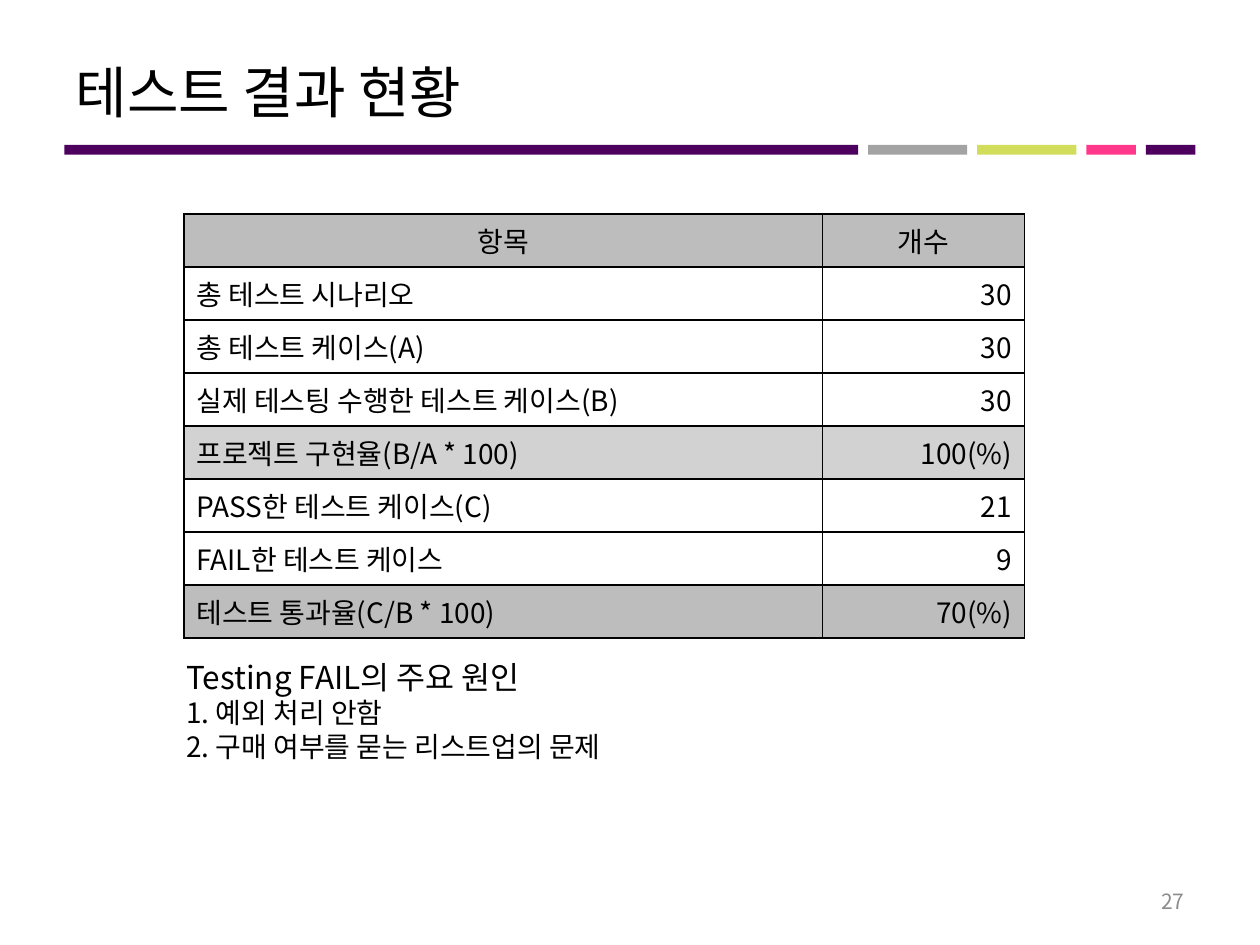
"""Build the test result summary slide."""
from lxml import etree
from pptx import Presentation, util as u
from pptx.dml.color import RGBColor
from pptx.enum import shapes, text
from pptx.oxml.ns import qn

FACE = "Noto Sans CJK KR"
BLACK = RGBColor(0x00, 0x00, 0x00)
PURPLE = RGBColor(0x4E, 0x00, 0x5F)
GRAY = RGBColor(0xA3, 0xA3, 0xA3)
LIME = RGBColor(0xD1, 0xDD, 0x5B)
PINK = RGBColor(0xFF, 0x38, 0x8C)
DARK = RGBColor(0xBD, 0xBD, 0xBD)
LIGHT = RGBColor(0xD2, 0xD2, 0xD2)
FAINT = RGBColor(0x8C, 0x8C, 0x8C)
LEFT, MID, RIGHT = text.PP_ALIGN.LEFT, text.PP_ALIGN.CENTER, text.PP_ALIGN.RIGHT


def style(para, size, align=LEFT, color=BLACK):
    """Set the look of one paragraph."""
    para.alignment = align
    para.font.size = u.Pt(size)
    para.font.color.rgb = color
    para.font.name = FACE
    props = para._p.pPr.find(qn("a:defRPr"))
    etree.SubElement(props, qn("a:ea"), typeface=FACE)


def frame(cell):
    """Draw a thin black line on each side of a cell."""
    props = cell._tc.get_or_add_tcPr()
    for i, side in enumerate(("lnL", "lnR", "lnT", "lnB")):
        line = etree.Element(qn("a:" + side), w=str(u.Pt(1)))
        fill = etree.SubElement(line, qn("a:solidFill"))
        etree.SubElement(fill, qn("a:srgbClr"), val=str(BLACK))
        props.insert(i, line)


deck = Presentation()
deck.slide_width, deck.slide_height = u.Inches(10), u.Inches(7.5)
wide, high = deck.slide_width, deck.slide_height
slide = deck.slides.add_slide(deck.slide_layouts[1])
title, body = slide.placeholders

unit = u.Mm(2)
left = u.Mm(13)
for span, color in ((80, PURPLE), (10, GRAY), (10, LIME), (5, PINK), (5, PURPLE)):
    bar = slide.shapes.add_shape(
        shapes.MSO_SHAPE.RECTANGLE, left, u.Inches(1.15), span * unit, unit)
    bar.shadow.inherit = False
    bar.fill.solid()
    bar.fill.fore_color.rgb = color
    bar.line.fill.background()
    left += (span + 1) * unit

title.left, title.top = int(wide * 0.05), int(high * 0.04)
title.width, title.height = int(wide * 0.9), u.Inches(0.85)
title.text_frame.text = "테스트 결과 현황"
title.text_frame.auto_size = text.MSO_AUTO_SIZE.NONE
title.text_frame.vertical_anchor = text.MSO_ANCHOR.MIDDLE
style(title.text_frame.paragraphs[0], 32)

rows = (
    ("항목", "개수", DARK),
    ("총 테스트 시나리오", "30", None),
    ("총 테스트 케이스(A)", "30", None),
    ("실제 테스팅 수행한 테스트 케이스(B)", "30", None),
    ("프로젝트 구현율(B/A * 100)", "100(%)", LIGHT),
    ("PASS한 테스트 케이스(C)", "21", None),
    ("FAIL한 테스트 케이스", "9", None),
    ("테스트 통과율(C/B * 100)", "70(%)", DARK),
)
cols = (u.Inches(5.07), u.Inches(1.6))
grid = slide.shapes.add_table(
    len(rows), 2, u.Inches(1.46), u.Inches(1.7), sum(cols), u.Inches(3.24)).table
for col, width in zip(grid.columns, cols):
    col.width = width
for r, (item, count, shade) in enumerate(rows):
    for c, words in enumerate((item, count)):
        cell = grid.cell(r, c)
        cell.text = words
        style(cell.text_frame.paragraphs[0], 16, MID if r == 0 else (LEFT, RIGHT)[c])
        if shade:
            cell.fill.solid()
            cell.fill.fore_color.rgb = shade
        else:
            cell.fill.background()
        frame(cell)

body.left, body.top = u.Inches(1.38), u.Inches(5.17)
body.width, body.height = u.Inches(3.91), u.Inches(1.21)
causes = body.text_frame
causes.text = "Testing FAIL의 주요 원인\n1. 예외 처리 안함\n2. 구매 여부를 묻는 리스트업의 문제"
causes.auto_size = text.MSO_AUTO_SIZE.NONE
causes.word_wrap = False
for para, size in zip(causes.paragraphs, (18, 16, 16)):
    para.space_before = u.Pt(0)
    para.line_spacing = 1.0
    style(para, size)
    props = para._p.pPr
    props.set("marL", "0")
    props.set("indent", "0")
    props.find(qn("a:defRPr")).addprevious(etree.Element(qn("a:buNone")))

page = slide.shapes.add_textbox(
    u.Inches(7.17), u.Inches(6.95), u.Inches(2.33), u.Inches(0.4)).text_frame
page.text = "27"
page.word_wrap = True
page.vertical_anchor = text.MSO_ANCHOR.MIDDLE
style(page.paragraphs[0], 12, RIGHT, FAINT)

deck.save("out.pptx")
